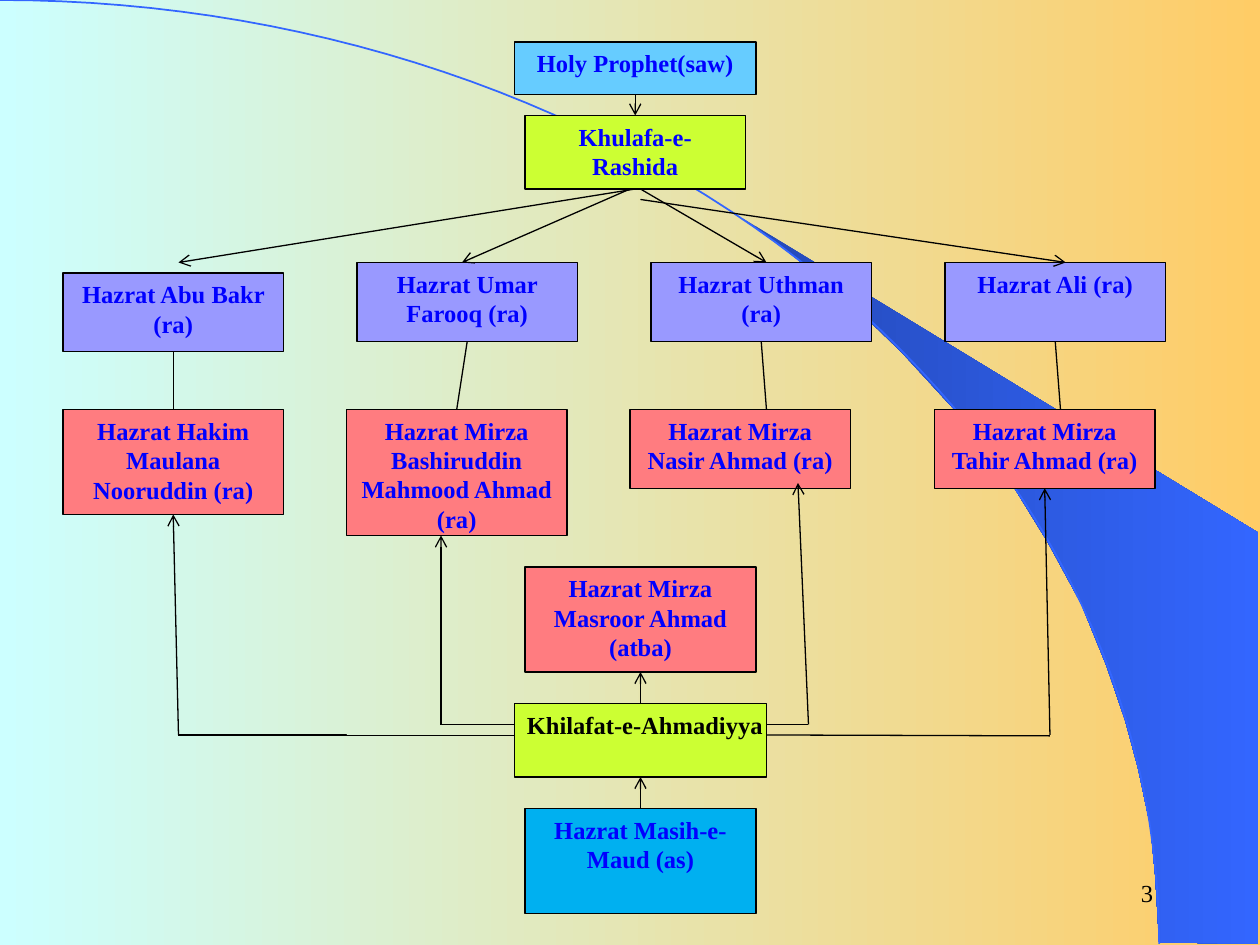
from dataclasses import dataclass
from math import cos, pi, sin

from lxml import etree
from pptx import Presentation
from pptx.dml.color import RGBColor
from pptx.enum.shapes import MSO_CONNECTOR, MSO_SHAPE
from pptx.enum.text import MSO_ANCHOR, PP_ALIGN
from pptx.oxml.ns import qn
from pptx.util import Pt

RECT = MSO_SHAPE.RECTANGLE
LINE, ELBOW = MSO_CONNECTOR.STRAIGHT, MSO_CONNECTOR.ELBOW
TOP, MIDDLE = MSO_ANCHOR.TOP, MSO_ANCHOR.MIDDLE
LEFT, CENTER, RIGHT = PP_ALIGN.LEFT, PP_ALIGN.CENTER, PP_ALIGN.RIGHT
UP, DOWN = 0, 2  # connection sites: middle of top and bottom side

FONT = "Times New Roman"
BLACK = RGBColor(0x00, 0x00, 0x00)
BLUE = RGBColor(0x00, 0x00, 0xFF)
SKY = RGBColor(0x66, 0xCC, 0xFF)
LIME = RGBColor(0xCC, 0xFF, 0x33)
LILAC = RGBColor(0x99, 0x99, 0xFF)
CORAL = RGBColor(0xFF, 0x7C, 0x80)
CYAN = RGBColor(0x00, 0xB0, 0xF0)
ICE = RGBColor(0xCC, 0xFF, 0xFF)
SAND = RGBColor(0xFF, 0xCC, 0x66)
NAVY = RGBColor(0x24, 0x49, 0xB6)
ROYAL = RGBColor(0x33, 0x66, 0xFF)

ARC_W, ARC_H, STEPS = 662.4, 539.3, 60
WEDGE = [
    (662.4, 538.6), (719.3, 539.3), (719.3, 304.6), (424.1, 124.6),
    (449.3, 143.3), (470.2, 159.8), (493.2, 180), (515.5, 201.6),
    (548.6, 237.6), (578.2, 276.5), (599, 310.3), (617.8, 344.9),
    (632.2, 380.2), (643, 411.8), (650.2, 438.5), (657.4, 472.3),
    (660.2, 501.1),
]


@dataclass
class Box:
    key: str
    text: str
    x: float
    y: float
    w: float
    h: float
    fill: RGBColor
    color: RGBColor = BLUE
    align: PP_ALIGN = CENTER
    wrap: bool = True


@dataclass
class Link:
    """A line between two points; start and end hold the joined box and site."""
    x1: float
    y1: float
    x2: float
    y2: float
    arrow: bool = False
    start: tuple | None = None
    end: tuple | None = None
    kind: MSO_CONNECTOR = LINE


BOXES = [
    Box("prophet", "Holy Prophet(saw)", 294, 24, 138, 30, SKY),
    Box("rashida", "Khulafa-e-Rashida", 300, 66, 126, 42, LIME),
    Box("bakr", "Hazrat Abu Bakr (ra)", 36, 156, 126, 45, LILAC),
    Box("umar", "Hazrat Umar Farooq (ra)", 204, 150, 126, 45, LILAC),
    Box("uthman", "Hazrat Uthman\n(ra)", 372, 150, 126, 45, LILAC),
    Box("ali", "Hazrat Ali (ra)", 540, 150, 126, 45, LILAC),
    Box("hakim", "Hazrat Hakim Maulana Nooruddin (ra)", 36, 234, 126, 60, CORAL),
    Box("bashir", "Hazrat Mirza Bashiruddin Mahmood Ahmad (ra)",
        198, 234, 126, 72, CORAL),
    Box("nasir", "Hazrat Mirza Nasir Ahmad (ra)", 360, 234, 126, 45, CORAL),
    Box("tahir", "Hazrat Mirza Tahir Ahmad (ra)", 534, 234, 126, 45, CORAL),
    Box("masroor", "Hazrat Mirza Masroor Ahmad (atba)",
        300, 324, 132, 60, CORAL),
    Box("masih", "Hazrat Masih-e-Maud (as)", 300, 462, 132, 60, CYAN),
    Box("ahmad", "Khilafat-e-Ahmadiyya", 294, 402, 144, 42, LIME,
        BLACK, LEFT, False),
]

LINKS = [
    Link(363, 54, 363, 66, True, ("prophet", DOWN), ("rashida", UP)),
    Link(363, 108, 102, 150, True, ("rashida", DOWN)),
    Link(360, 108, 264, 150, True),
    Link(366, 108, 438, 150, True),
    Link(366, 114, 609, 150, True),
    Link(366, 462, 366, 444, True, ("masih", UP), ("ahmad", DOWN)),
    Link(366, 402, 366, 384, True, ("ahmad", UP), ("masroor", DOWN)),
    Link(294, 420.5, 102, 420, kind=ELBOW),
    Link(438, 420, 600, 420.5),
    Link(102, 420, 99, 294, True, end=("hakim", DOWN)),
    Link(600, 420, 597, 279, True, end=("tahir", DOWN)),
    Link(294, 414, 252, 414),
    Link(252, 414, 252, 306, True),
    Link(438, 414, 462, 414),
    Link(462, 414, 456, 276, True),
    Link(99, 201, 99, 234, False, ("bakr", DOWN), ("hakim", UP)),
    Link(267, 195, 261, 234, False, ("umar", DOWN), ("bashir", UP)),
    Link(435, 195, 438, 234, False, ("uthman", DOWN)),
    Link(603, 195, 606, 234, False, ("ali", DOWN)),
]


def shade(fill, first: RGBColor, last: RGBColor) -> None:
    fill.gradient()
    fill.gradient_angle = 0
    for stop, color in zip(fill.gradient_stops, (first, last)):
        stop.color.rgb = color


def trace(shapes, spots: list, close: bool):
    pts = [(Pt(x), Pt(y)) for x, y in spots]
    pen = shapes.build_freeform(*pts[0])
    pen.add_line_segments(pts[1:], close=close)
    shape = pen.convert_to_shape()
    shape.shadow.inherit = False
    return shape


def write(frame, text: str, color: RGBColor, align: PP_ALIGN, bold: bool) -> None:
    frame.text = text
    for para in frame.paragraphs:
        para.alignment = align
        font = para.font
        font.name, font.size, font.bold = FONT, Pt(14), bold
        font.color.rgb = color


def add_box(shapes, box: Box):
    shape = shapes.add_shape(RECT, Pt(box.x), Pt(box.y), Pt(box.w), Pt(box.h))
    shape.shadow.inherit = False
    shape.fill.solid()
    shape.fill.fore_color.rgb = box.fill
    shape.line.color.rgb = BLACK
    shape.line.width = Pt(0.75)
    frame = shape.text_frame
    frame.word_wrap = box.wrap
    frame.vertical_anchor = TOP
    write(frame, box.text, box.color, box.align, True)
    return shape


def add_link(shapes, link: Link, made: dict) -> None:
    line = shapes.add_connector(
        link.kind, Pt(link.x1), Pt(link.y1), Pt(link.x2), Pt(link.y2))
    if link.start:
        line.begin_connect(made[link.start[0]], link.start[1])
    if link.end:
        line.end_connect(made[link.end[0]], link.end[1])
    line.line.color.rgb = BLACK
    line.line.width = Pt(0.75)
    if link.arrow:
        etree.SubElement(line.line._get_or_add_ln(), qn("a:tailEnd"), type="arrow")
    etree.SubElement(line._element.spPr, qn("a:effectLst"))


def add_decor(shapes) -> None:
    wedge = trace(shapes, WEDGE, True)
    shade(wedge.fill, NAVY, ROYAL)
    wedge.line.fill.background()
    turns = [i * pi / 2 / STEPS for i in range(STEPS + 1)]
    arc = trace(shapes, [(ARC_W * sin(t), ARC_H * (1 - cos(t))) for t in turns], False)
    arc.fill.background()
    arc.line.color.rgb = ROYAL
    arc.line.width = Pt(1)


def main() -> None:
    deck = Presentation()
    deck.slide_width, deck.slide_height = Pt(720), Pt(540)
    slide = deck.slides.add_slide(deck.slide_layouts[6])
    shapes = slide.shapes
    shade(slide.background.fill, ICE, SAND)
    add_decor(shapes)

    page = shapes.add_textbox(Pt(516), Pt(492), Pt(150), Pt(36)).text_frame
    page.word_wrap = True
    page.vertical_anchor = MIDDLE
    write(page, "3", BLACK, RIGHT, False)

    made = {box.key: add_box(shapes, box) for box in BOXES}
    for link in LINKS:
        add_link(shapes, link, made)
    deck.save("out.pptx")


if __name__ == "__main__":
    main()
